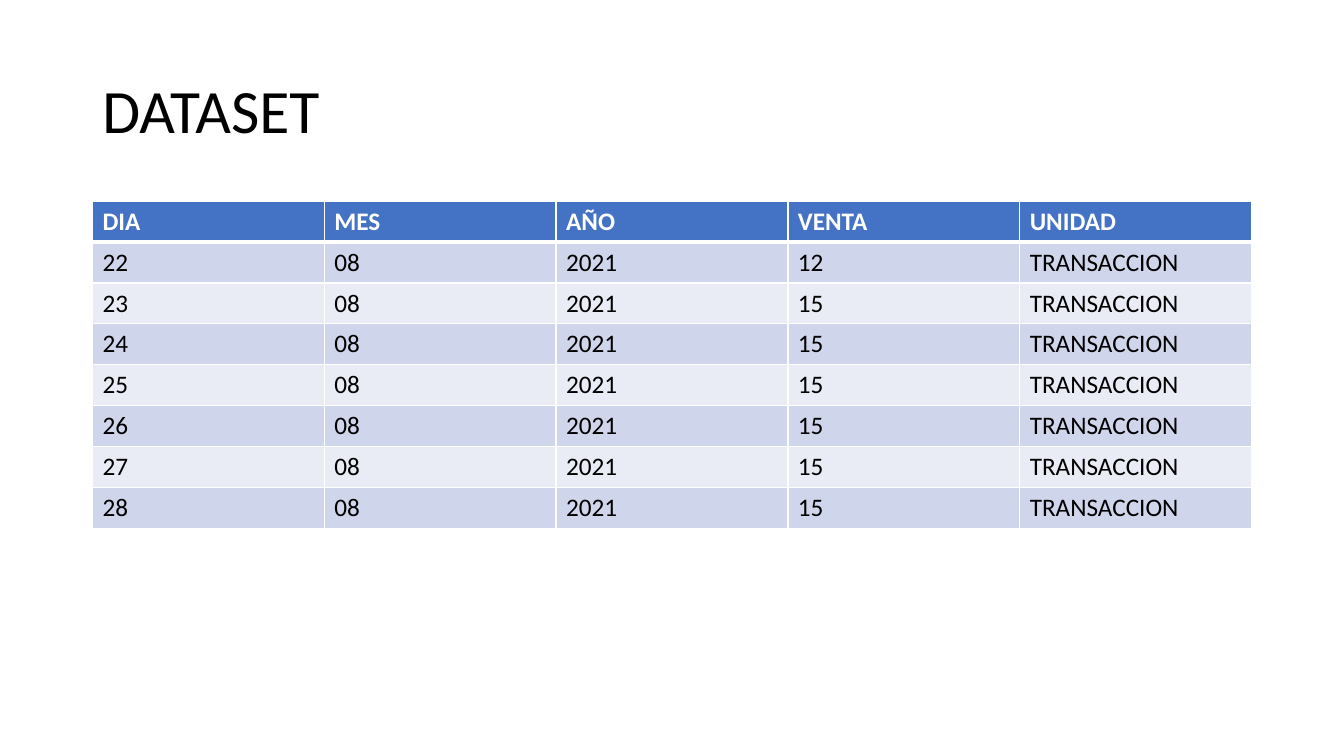
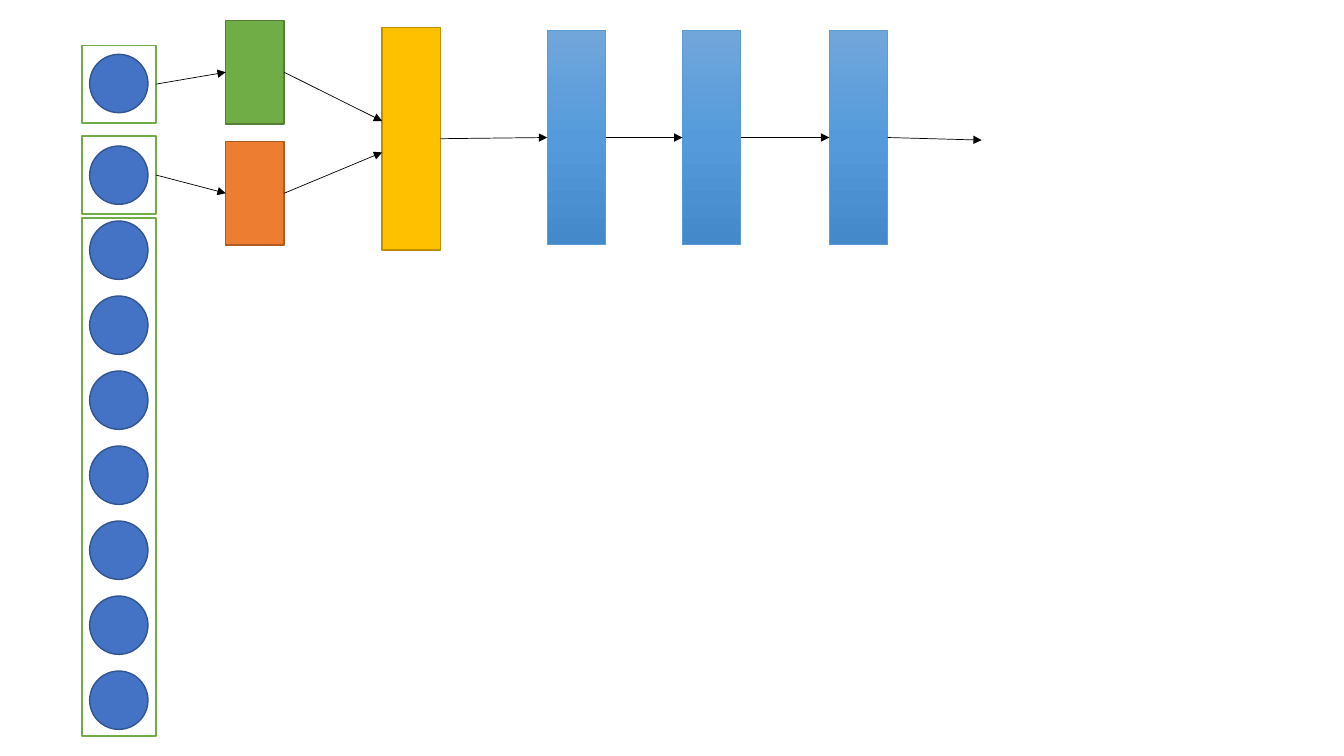
from copy import deepcopy
from dataclasses import dataclass
from typing import Optional

from lxml import etree
from pptx import Presentation
from pptx import util as u
from pptx.dml.color import RGBColor
from pptx.enum import shapes, text
from pptx.oxml import ns

FONT = "Calibri"
BLACK = RGBColor(0x00, 0x00, 0x00)
WHITE = RGBColor(0xFF, 0xFF, 0xFF)
BLUE = RGBColor(0x44, 0x72, 0xC4)
BLUE_EDGE = RGBColor(0x32, 0x54, 0x91)
GREEN = RGBColor(0x70, 0xAD, 0x47)
GREEN_EDGE = RGBColor(0x53, 0x80, 0x35)
ORANGE = RGBColor(0xED, 0x7D, 0x31)
ORANGE_EDGE = RGBColor(0xAF, 0x5C, 0x24)
GOLD = RGBColor(0xFF, 0xC0, 0x00)
GOLD_EDGE = RGBColor(0xBD, 0x8E, 0x00)
SKY_EDGE = RGBColor(0x5B, 0x9B, 0xD5)
SKY_STOPS = (RGBColor(0x71, 0xA6, 0xDB), RGBColor(0x55, 0x9B, 0xDB),
             RGBColor(0x44, 0x8A, 0xCA))
BAND_DARK = RGBColor(0xCF, 0xD5, 0xEA)
BAND_LIGHT = RGBColor(0xE9, 0xEB, 0xF5)

RECT = shapes.MSO_SHAPE.RECTANGLE
OVAL = shapes.MSO_SHAPE.OVAL

MARGIN, CONTENT_W = 2.33, 29.21
ROW_H = 1.03
HEADERS = ("DIA", "MES", "AÑO", "VENTA", "UNIDAD")
ROWS = [(str(day), "08", "2021", "12" if day == 22 else "15", "TRANSACCION")
        for day in range(22, 29)]


@dataclass(frozen=True)
class Block:
    """A filled outline of the network diagram, measured in centimetres."""
    left: float
    top: float
    width: float
    height: float
    edge: RGBColor
    fill: Optional[RGBColor] = None  # None means the sky gradient
    kind: int = RECT
    edge_pt: float = 1

    @property
    def right(self) -> float:
        """Return the x of the right side."""
        return self.left + self.width

    @property
    def middle(self) -> float:
        """Return the y of the centre."""
        return self.top + self.height / 2


def style_run(r, size: float, color: RGBColor, bold: bool = False) -> None:
    """Apply the deck font to a run."""
    r.font.name = FONT
    r.font.size = u.Pt(size)
    r.font.bold = bold
    r.font.color.rgb = color


def add_title(s, title: str) -> None:
    """Add the slide title."""
    sp = s.shapes.add_textbox(u.Cm(MARGIN), u.Cm(1.01), u.Cm(CONTENT_W), u.Cm(3.68))
    tf = sp.text_frame
    tf.word_wrap = True
    tf.vertical_anchor = text.MSO_ANCHOR.MIDDLE
    tf.text = title
    p = tf.paragraphs[0]
    p.line_spacing = 0.9
    style_run(p.runs[0], 44, BLACK)


def add_borders(cell, bottom_pt: float) -> None:
    """Draw white cell borders, 1 pt except for the bottom one."""
    tc_pr = cell._tc.get_or_add_tcPr()
    for side in "LRTB":
        width = bottom_pt if side == "B" else 1
        ln = etree.SubElement(tc_pr, ns.qn(f"a:ln{side}"), w=str(u.Pt(width)))
        fill = etree.SubElement(ln, ns.qn("a:solidFill"))
        etree.SubElement(fill, ns.qn("a:srgbClr"), val=str(WHITE))


def add_data_table(s) -> None:
    """Add the banded table of daily sales."""
    count = len(ROWS) + 1
    table = s.shapes.add_table(count, len(HEADERS), u.Cm(MARGIN), u.Cm(5.07),
                               u.Cm(CONTENT_W), u.Cm(count * ROW_H)).table
    for i, values in enumerate([HEADERS, *ROWS]):
        header = i == 0
        band = BLUE if header else BAND_DARK if i % 2 else BAND_LIGHT
        table.rows[i].height = u.Cm(ROW_H)
        for j, value in enumerate(values):
            cell = table.cell(i, j)
            add_borders(cell, 3 if header else 1)
            cell.fill.solid()
            cell.fill.fore_color.rgb = band
            cell.text_frame.text = value
            r = cell.text_frame.paragraphs[0].runs[0]
            style_run(r, 18, WHITE if header else BLACK, header)


def fill_sky(sp) -> None:
    """Fill a shape with the three-stop gradient, light at the top."""
    sp.fill.gradient()
    sp.fill.gradient_angle = 270
    stop_list = sp.element.xpath(".//a:gsLst")[0]
    stop_list.append(deepcopy(stop_list[0]))
    for i, stop in enumerate(sp.fill.gradient_stops):
        stop.position = i / 2
        stop.color.rgb = SKY_STOPS[i]


def add_block(s, block: Block) -> None:
    """Draw one block."""
    sp = s.shapes.add_shape(block.kind, u.Cm(block.left), u.Cm(block.top),
                            u.Cm(block.width), u.Cm(block.height))
    sp.shadow.inherit = False
    if block.fill is None:
        fill_sky(sp)
    else:
        sp.fill.solid()
        sp.fill.fore_color.rgb = block.fill
    sp.line.color.rgb = block.edge
    sp.line.width = u.Pt(block.edge_pt)


def add_arrow(s, start: Block, end_x: float, end_y: float) -> None:
    """Draw an arrow from the right side of a block to a point."""
    sp = s.shapes.add_connector(shapes.MSO_CONNECTOR.STRAIGHT, u.Cm(start.right),
                                u.Cm(start.middle), u.Cm(end_x), u.Cm(end_y))
    sp.line.color.rgb = BLACK
    sp.line.width = u.Pt(0.5)
    etree.SubElement(sp.line._get_or_add_ln(), ns.qn("a:tailEnd"), type="triangle")
    etree.SubElement(sp.element.spPr, ns.qn("a:effectLst"))


def build_dataset(prs) -> None:
    """Build the slide with the sales table."""
    s = prs.slides.add_slide(prs.slide_layouts[6])
    add_title(s, "DATASET")
    add_data_table(s)


def build_network(prs) -> None:
    """Build the slide with the network diagram."""
    s = prs.slides.add_slide(prs.slide_layouts[6])
    size = 1.47
    rest, second, first = [Block(2.07, top, 1.86, height, GREEN, WHITE)
                           for top, height in ((5.49, 13.06), (3.43, 1.96), (1.14, 1.96))]
    node_tops = [1.37, 3.68] + [5.57 + 1.89 * i for i in range(7)]
    nodes = [Block(2.26, top, size, size, BLUE_EDGE, BLUE, OVAL) for top in node_tops]
    green = Block(5.69, 0.51, size, 2.62, GREEN_EDGE, GREEN)
    orange = Block(5.69, 3.56, size, 2.62, ORANGE_EDGE, ORANGE)
    merge = Block(9.63, 0.69, size, 5.61, GOLD_EDGE, GOLD)
    layers = [Block(left, 0.76, size, 5.41, SKY_EDGE, edge_pt=0.5)
              for left in (13.79, 17.2, 20.9)]

    for block in (rest, second, first, *nodes, green, orange, merge, *layers):
        add_block(s, block)

    add_arrow(s, first, green.left, green.middle)
    add_arrow(s, second, orange.left, orange.middle)
    add_arrow(s, green, merge.left, 3.05)
    add_arrow(s, orange, merge.left, 3.84)
    for start, end in zip([merge, *layers], layers):
        add_arrow(s, start, end.left, end.middle)
    add_arrow(s, layers[-1], 24.74, 3.53)


def main() -> None:
    """Build and save the deck."""
    prs = Presentation()
    prs.slide_width, prs.slide_height = u.Cm(33.87), u.Cm(19.05)
    build_dataset(prs)
    build_network(prs)
    prs.save("out.pptx")


main()
